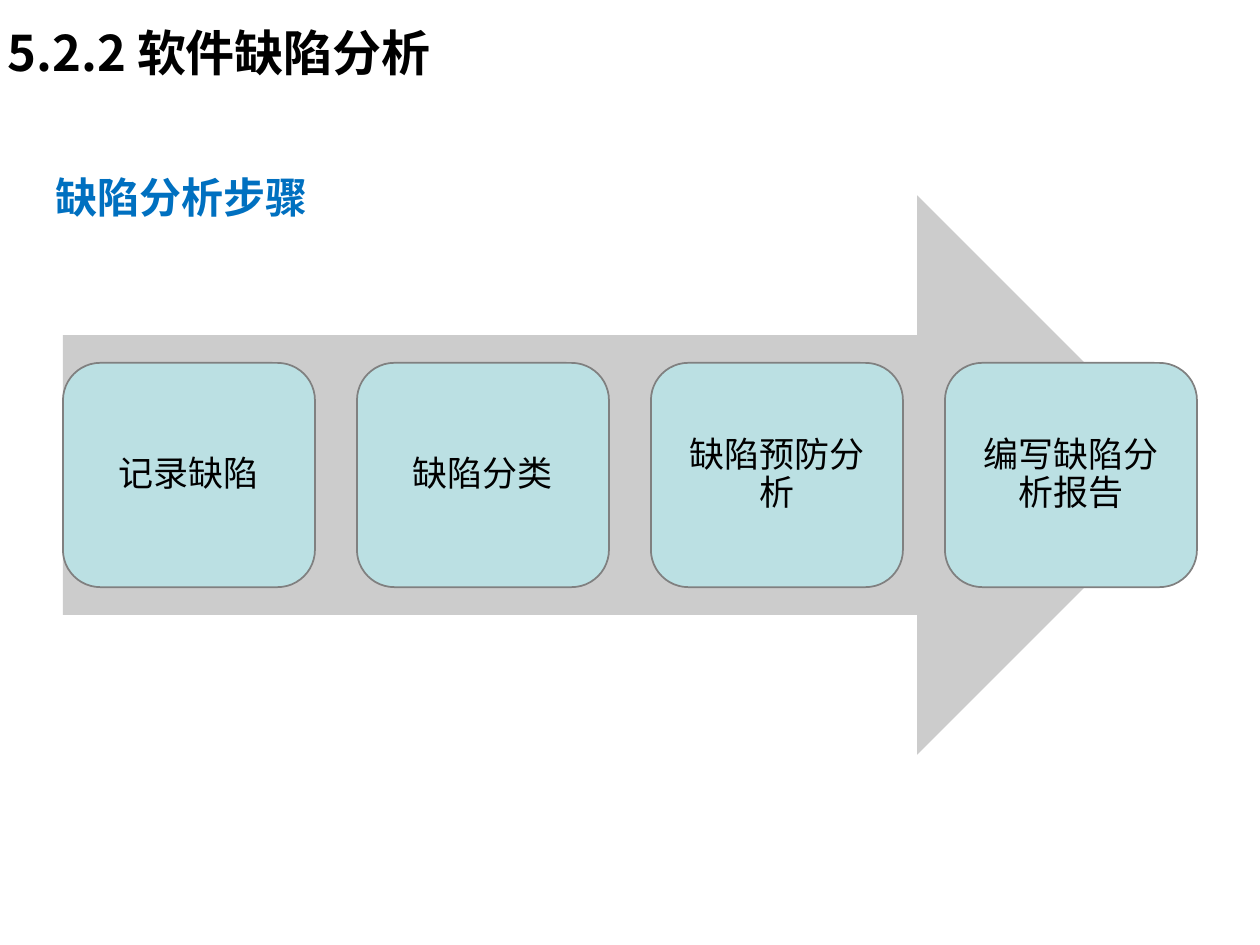
from pptx import Presentation
from pptx.dml.color import RGBColor
from pptx.enum.shapes import MSO_SHAPE
from pptx.enum.text import MSO_ANCHOR, MSO_AUTO_SIZE, PP_ALIGN
from pptx.oxml.ns import qn
from pptx.util import Inches, Pt
from lxml.etree import SubElement

FONT = "Noto Sans CJK SC"
STEPS = ["记录缺陷", "缺陷分类", "缺陷预防分析", "编写缺陷分析报告"]
FLOW_LEFT, FLOW_WIDTH = 0.5, 9
STEP_WIDTH, STEP_HEIGHT = 2, 1.78
STEP_PITCH = (FLOW_WIDTH - STEP_WIDTH) / (len(STEPS) - 1)


def colour(value):
    return RGBColor.from_string(value)


def write(frame, text, size, hue, bold=False, align=PP_ALIGN.LEFT, inset=None):
    frame.word_wrap = True
    frame.auto_size = MSO_AUTO_SIZE.NONE
    frame.vertical_anchor = MSO_ANCHOR.MIDDLE
    if inset is not None:
        frame.margin_left = frame.margin_right = Inches(inset)
        frame.margin_top = frame.margin_bottom = Inches(inset)
    paragraph = frame.paragraphs[0]
    paragraph.alignment = align
    run = paragraph.add_run()
    run.text = text
    run.font.name = FONT
    run.font.size = Pt(size)
    run.font.bold = bold
    run.font.color.rgb = colour(hue)
    SubElement(run.font._element, qn("a:ea"), typeface=FONT)
    return paragraph


def add_block(slide, preset, left, top, width, height, fill, outline=None):
    block = slide.shapes.add_shape(
        preset, Inches(left), Inches(top), Inches(width), Inches(height)
    )
    block.shadow.inherit = False
    block.fill.solid()
    block.fill.fore_color.rgb = colour(fill)
    if outline:
        block.line.color.rgb = colour(outline)
        block.line.width = Pt(1)
    else:
        block.line.fill.background()
    return block


def add_title(slide, text):
    title = slide.shapes.title
    title.left, title.top = Inches(-0.04), Inches(0.04)
    title.width, title.height = Inches(9), Inches(0.75)
    write(title.text_frame, text, 28, "000000", bold=True)


def add_subtitle(slide, text):
    subtitle = slide.shapes.add_textbox(
        Inches(0.44), Inches(1.3), Inches(6), Inches(0.53)
    )
    write(subtitle.text_frame, text, 24, "0070C0", bold=True, inset=0)


def add_step(slide, index, text):
    step = add_block(
        slide, MSO_SHAPE.ROUNDED_RECTANGLE, FLOW_LEFT + index * STEP_PITCH, 2.88,
        STEP_WIDTH, STEP_HEIGHT, "BBE0E3", "808080",
    )
    label = write(
        step.text_frame, text, 20, "000000", align=PP_ALIGN.CENTER, inset=0.09
    )
    label.line_spacing = 0.9


def main():
    deck = Presentation()
    deck.slide_width, deck.slide_height = Inches(10), Inches(7.5)
    slide = deck.slides.add_slide(deck.slide_layouts[5])
    add_title(slide, "5.2.2 软件缺陷分析")
    add_subtitle(slide, "缺陷分析步骤")
    add_block(
        slide, MSO_SHAPE.RIGHT_ARROW, FLOW_LEFT, 1.55, FLOW_WIDTH, 4.44, "CCCCCC"
    )
    for index, text in enumerate(STEPS):
        add_step(slide, index, text)
    deck.save("out.pptx")


if __name__ == "__main__":
    main()
